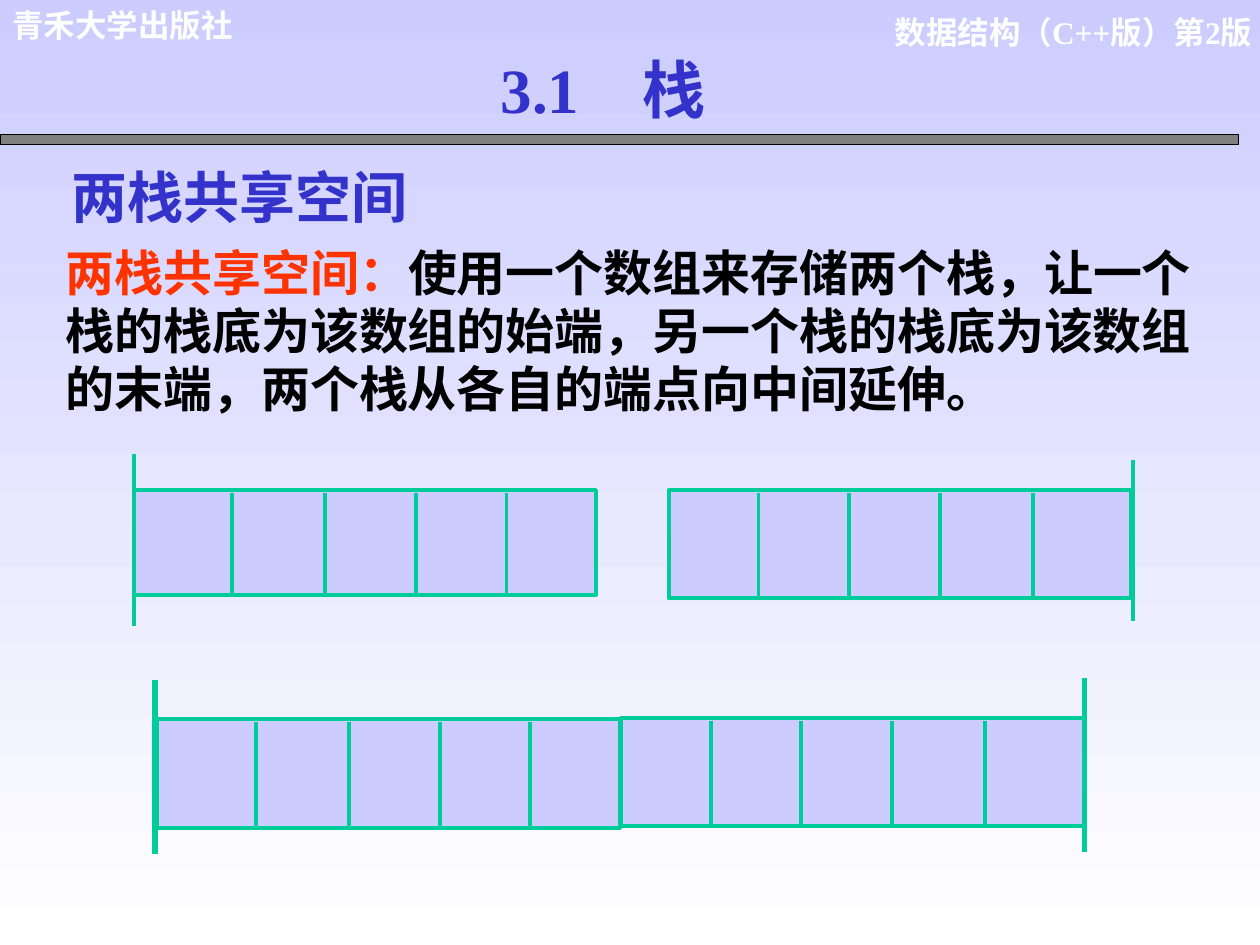
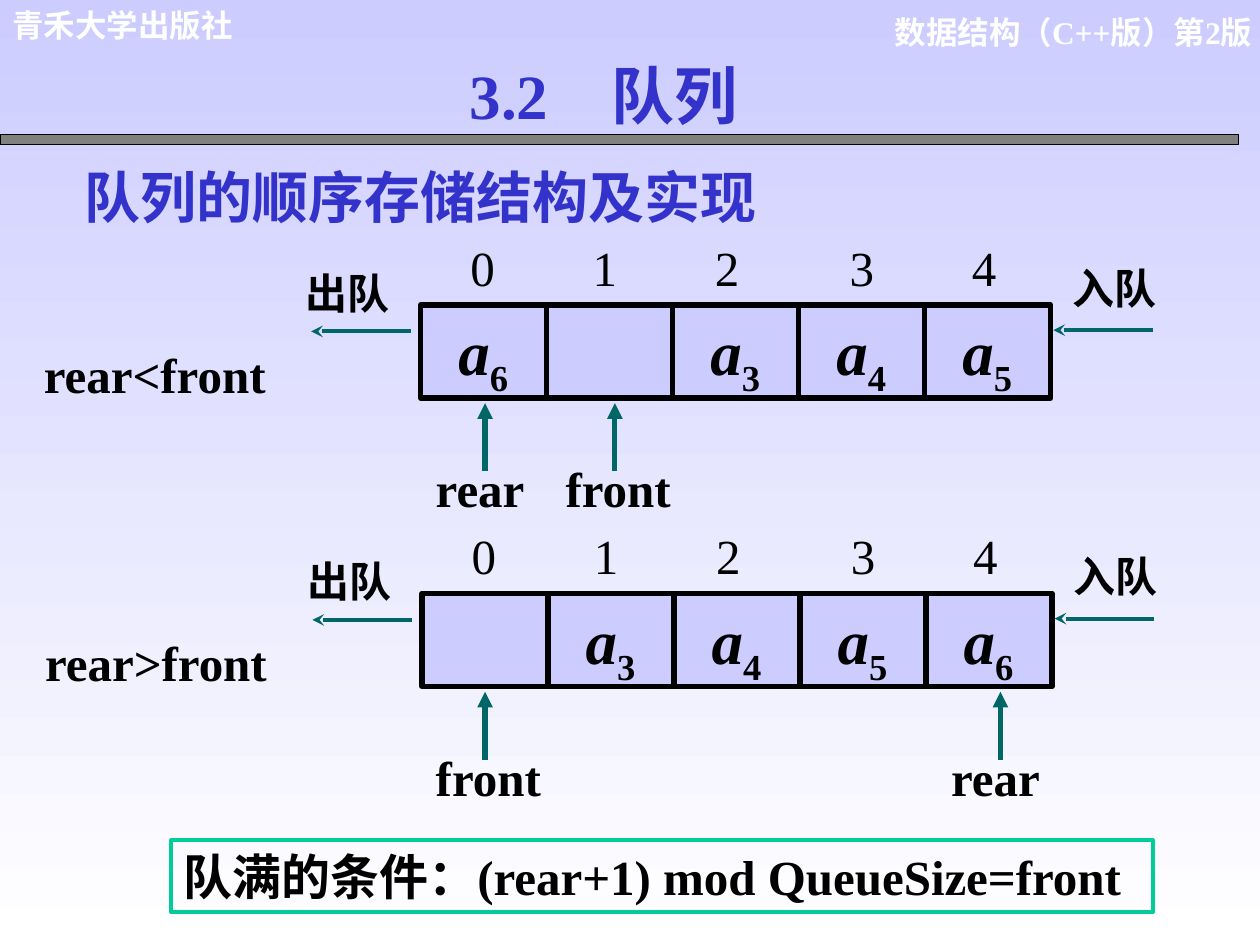
from dataclasses import dataclass
from typing import Any, NamedTuple, Optional

from lxml.etree import SubElement
from pptx import Presentation
from pptx.dml.color import RGBColor
from pptx.enum.shapes import MSO_CONNECTOR as Connector, MSO_SHAPE as Preset
from pptx.enum.text import MSO_ANCHOR as Anchor, MSO_AUTO_SIZE as AutoSize, PP_ALIGN as Align
from pptx.oxml.ns import qn
from pptx.util import Inches, Pt

# Shared colours, fonts and text styles
COLOURS = {
    "sky": "CCCCFF", "white": "FFFFFF", "band": "808080", "black": "000000",
    "heading": "3333CC", "term": "FF3300", "stack": "00CC99", "arrow": "006666",
}
LATIN = "Times New Roman"
CHINESE = "Noto Sans CJK SC"


class TextStyle(NamedTuple):
    size: float
    colour: str = "black"
    bold: bool = True
    italic: bool = False
    name: str = LATIN
    baseline: int = 0


class Run(NamedTuple):
    text: str
    style: TextStyle


class Box(NamedTuple):
    left: float
    top: float
    width: float
    height: float


TITLE = TextStyle(36, "heading")
SUBTITLE = TextStyle(32, "heading")
LABEL = TextStyle(28)
INDEX = TextStyle(28, bold=False)
ACTION = TextStyle(24)
ELEMENT = TextStyle(36, italic=True)
SUBSCRIPT = TextStyle(36, baseline=-25000)


@dataclass
class Stack:
    """A five-cell array with a bar at the bottom of the stack."""
    box: Box
    bar_x: float
    bar_top: float
    bar_bottom: float
    bar_width: float = 2.25
    mirrored: bool = False


@dataclass
class Queue:
    """A circular queue: element numbers by slot, and pointer positions."""
    left: float
    top: float
    relation: str
    elements: dict[int, int]
    pointers: dict[str, float]


STACKS = [
    Stack(Box(1.06, 3.89, 3.67, 0.83), 1.06, 3.6, 4.97),
    Stack(Box(5.31, 3.89, 3.67, 0.86), 8.99, 3.65, 4.93, mirrored=True),
    Stack(Box(1.25, 5.71, 3.67, 0.86), 1.23, 5.4, 6.78, 3),
    Stack(Box(4.93, 5.7, 3.67, 0.86), 8.61, 5.38, 6.76, 3, mirrored=True),
]
DIVIDERS = (0.78, 1.52, 2.24, 2.96)
QUEUES = [
    Queue(3.34, 2.42, "rear<front", {0: 6, 2: 3, 3: 4, 4: 5}, {"rear": 0.51, "front": 1.54}),
    Queue(3.35, 4.71, "rear>front", {1: 3, 2: 4, 3: 5, 4: 6}, {"front": 0.5, "rear": 4.59}),
]
INDEX_CENTRES = (0.49, 1.46, 2.43, 3.5, 4.47)


def rgb(colour: str) -> RGBColor:
    return RGBColor.from_string(COLOURS[colour])


def set_values(target: Any, values: dict[str, Any]) -> None:
    for name, value in values.items():
        setattr(target, name, value)


# Text
def write(shape: Any, runs: list[Run], align: Align = Align.LEFT,
          line_spacing: Optional[Pt] = None, side_inset: float = 0.1) -> None:
    frame = shape.text_frame
    set_values(frame, {
        "word_wrap": True, "auto_size": AutoSize.NONE, "vertical_anchor": Anchor.MIDDLE,
        "margin_left": Inches(side_inset), "margin_right": Inches(min(side_inset, 0.02)),
        "margin_top": Inches(0.05), "margin_bottom": Inches(0.05),
    })
    paragraph = frame.paragraphs[0]
    set_values(paragraph, {"alignment": align, "space_before": Pt(0),
                           "line_spacing": line_spacing})
    for text, style in runs:
        run = paragraph.add_run()
        run.text = text
        set_values(run.font, {"name": style.name, "size": Pt(style.size),
                              "bold": style.bold, "italic": style.italic})
        run.font.color.rgb = rgb(style.colour)
        properties = run._r.get_or_add_rPr()
        SubElement(properties, qn("a:ea")).set("typeface", CHINESE)
        if style.baseline:
            properties.set("baseline", str(style.baseline))


def place(shape: Any, box: Box) -> None:
    set_values(shape, {name: Inches(value) for name, value in box._asdict().items()})


def add_text(slide: Any, box: Box, runs: list[Run], **options: Any) -> Any:
    shape = slide.shapes.add_textbox(*map(Inches, box))
    write(shape, runs, **options)
    return shape


def add_title(slide: Any, box: Box, text: str) -> None:
    title = slide.shapes.title
    place(title, box)
    write(title, [Run(text, TITLE)], align=Align.CENTER)
    # Soft grey shadow behind the letters
    properties = title.text_frame.paragraphs[0].runs[0]._r.get_or_add_rPr()
    effects = SubElement(properties, qn("a:effectLst"))
    shadow = SubElement(effects, qn("a:outerShdw"), dist="25400", dir="2700000")
    SubElement(shadow, qn("a:srgbClr"), val=COLOURS["band"])
    properties.find(qn("a:solidFill")).addnext(effects)


def add_subtitle(slide: Any, box: Box, text: str) -> None:
    body = slide.placeholders[1]
    place(body, box)
    write(body, [Run(text, SUBTITLE)])
    properties = body.text_frame.paragraphs[0]._p.get_or_add_pPr()
    for name in ("marL", "indent"):
        properties.set(name, "0")
    SubElement(properties, qn("a:buNone"))


# Shapes and lines
def add_rectangle(slide: Any, box: Box, fill: Optional[str], line: str, width: float) -> Any:
    shape = slide.shapes.add_shape(Preset.RECTANGLE, *map(Inches, box))
    shape.shadow.inherit = False
    if fill:
        shape.fill.solid()
        shape.fill.fore_color.rgb = rgb(fill)
    else:
        shape.fill.background()
    shape.line.color.rgb = rgb(line)
    shape.line.width = Pt(width)
    return shape


def add_line(slide: Any, start: tuple[float, float], end: tuple[float, float],
             colour: str, width: float, head: Optional[str] = None) -> None:
    line = slide.shapes.add_connector(Connector.STRAIGHT, *map(Inches, start + end))
    line.line.color.rgb = rgb(colour)
    line.line.width = Pt(width)
    properties = line.element.spPr
    if head:
        SubElement(properties.find(qn("a:ln")), qn("a:tailEnd"), type=head)
    SubElement(properties, qn("a:effectLst"))


# Shared background and header, kept on the master and layout
def set_background(master: Any) -> None:
    fill = master.background.fill
    fill.gradient()
    fill.gradient_angle = 270
    for stop, colour, position in zip(fill.gradient_stops, ("sky", "white"), (0, 1)):
        stop.color.rgb = rgb(colour)
        stop.position = position


def move_header_to_layout(slide: Any, layout: Any) -> None:
    for placeholder in list(layout.placeholders)[2:]:
        placeholder.element.getparent().remove(placeholder.element)
    header = TextStyle(18, "white")
    parts = [
        add_text(slide, Box(6.39, 0.05, 3.57, 0.4),
                 [Run("数据结构（C++版）第2版", header)], align=Align.RIGHT),
        add_text(slide, Box(0, 0, 2.71, 0.4),
                 [Run("青禾大学出版社", header._replace(name="Arial"))]),
        add_rectangle(slide, Box(0, 1.07, 9.83, 0.08), "band", "black", 0.75),
    ]
    for part in parts:
        layout.shapes.element.append(part.element)


# Diagrams
def draw_stack(slide: Any, stack: Stack) -> None:
    left, top, width, height = stack.box
    add_rectangle(slide, stack.box, "sky", "stack", 2.25)
    for offset in DIVIDERS:
        x = left + (width - offset if stack.mirrored else offset)
        add_line(slide, (x, top + 0.02), (x, top + height - 0.01), "stack", 2.25)
    add_line(slide, (stack.bar_x, stack.bar_top), (stack.bar_x, stack.bar_bottom),
             "stack", stack.bar_width)


def draw_queue(slide: Any, queue: Queue) -> None:
    left, top = queue.left, queue.top
    for slot, centre in enumerate(INDEX_CENTRES):
        add_rectangle(slide, Box(left + slot, top, 1, 0.74), "sky", "black", 3)
        add_text(slide, Box(left + centre - 0.25, top - 0.59, 0.5, 0.57),
                 [Run(str(slot), INDEX)], align=Align.CENTER, side_inset=0)
    for slot, number in queue.elements.items():
        add_text(slide, Box(left + slot + 0.2, top + 0.01, 0.64, 0.79),
                 [Run("a", ELEMENT), Run(str(number), SUBSCRIPT)])
    # Leaving on the left, entering on the right
    for text, label_x, label_y, arrow_x, arrow_y in (
            ("出队", -1.01, -0.35, -0.08, 0.21), ("入队", 5.07, -0.39, 5.81, 0.2)):
        add_text(slide, Box(left + label_x, top + label_y, 1.08, 0.5), [Run(text, ACTION)])
        add_line(slide, (left + arrow_x, top + arrow_y),
                 (left + arrow_x - 0.79, top + arrow_y), "arrow", 2.25, "stealth")
    add_text(slide, Box(left - 3.09, top + 0.26, 2.2, 0.57), [Run(queue.relation, LABEL)])
    for text, offset in queue.pointers.items():
        x = left + offset
        add_line(slide, (x, top + 1.32), (x, top + 0.78), "arrow", 3, "triangle")
        add_text(slide, Box(x - 0.49, top + 1.17, 1.05, 0.57), [Run(text, LABEL)])


# Slides
def build_shared_stacks(slide: Any) -> None:
    add_title(slide, Box(2.54, 0.35, 4.41, 0.7), "3.1　栈")
    add_subtitle(slide, Box(0.47, 1.24, 5, 0.64), "两栈共享空间")
    text = TextStyle(28, name=CHINESE)
    add_text(slide, Box(0.52, 1.83, 9.06, 1.58), [
        Run("两栈共享空间：", text._replace(colour="term")),
        Run("使用一个数组来存储两个栈，让一个栈的栈底为该数组的始端，"
            "另一个栈的栈底为该数组的末端，两个栈从各自的端点向中间延伸。", text),
    ], line_spacing=Pt(33.3), side_inset=0)
    for stack in STACKS:
        draw_stack(slide, stack)


def build_circular_queue(slide: Any) -> None:
    add_title(slide, Box(2.6, 0.4, 4.3, 0.7), "3.2　队列")
    add_subtitle(slide, Box(0.57, 1.24, 6.75, 0.64), "队列的顺序存储结构及实现")
    for queue in QUEUES:
        draw_queue(slide, queue)
    condition = add_rectangle(slide, Box(1.36, 6.67, 7.79, 0.57), None, "stack", 2.25)
    write(condition, [Run("队满的条件：(rear+1) mod QueueSize=front", LABEL)])


def main() -> None:
    presentation = Presentation()
    presentation.slide_width, presentation.slide_height = Inches(10), Inches(7.5)
    set_background(presentation.slide_master)
    layout = presentation.slide_layouts[1]
    slides = [presentation.slides.add_slide(layout) for _ in range(2)]
    move_header_to_layout(slides[0], layout)
    for build, slide in zip((build_shared_stacks, build_circular_queue), slides):
        build(slide)
    presentation.save("out.pptx")


if __name__ == "__main__":
    main()
